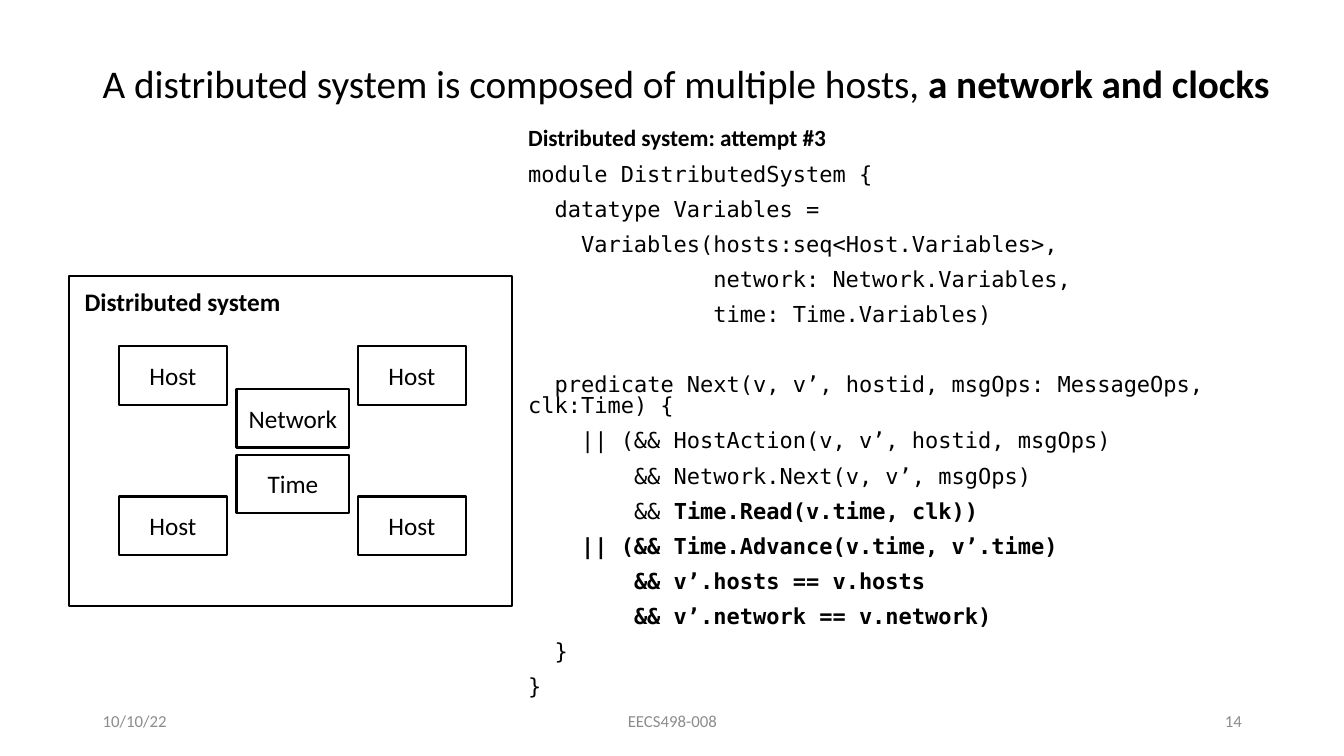
"""Build a slide on a distributed system made of hosts, a network and clocks."""
from dataclasses import dataclass

from pptx import Presentation
from pptx.dml.color import RGBColor
from pptx.enum import shapes, text
from pptx import util as u

WIDTH, HEIGHT = u.Inches(13.33), u.Inches(7.5)


@dataclass(frozen=True)
class Theme:
    """Colours, fonts and type sizes of the slide."""
    ink: RGBColor = RGBColor(0, 0, 0)
    muted: RGBColor = RGBColor(0x8C, 0x8C, 0x8C)
    paper: RGBColor = RGBColor(0xFF, 0xFF, 0xFF)
    body_font: str = "Calibri"
    code_font: str = "DejaVu Sans Mono"
    title_size: u.Pt = u.Pt(28)
    label_size: u.Pt = u.Pt(18)
    heading_size: u.Pt = u.Pt(16.6)
    code_size: u.Pt = u.Pt(15.7)
    footer_size: u.Pt = u.Pt(12)
    outline: u.Pt = u.Pt(1.5)
    code_column: u.Pt = u.Pt(9.45)


THEME = Theme()
TITLE_LINE = {"line_spacing": 0.9, "space_before": u.Pt(10)}
CODE_LINE = {"line_spacing": 0.8, "space_before": u.Pt(10)}
CODE_SECTION = {"line_spacing": 0.8, "space_before": u.Pt(35)}
CENTRED = {"alignment": text.PP_ALIGN.CENTER}

CODE = [
    (0, "module DistributedSystem {", ""),
    (2, "datatype Variables =", ""),
    (4, "Variables(hosts:seq<Host.Variables>,", ""),
    (14, "network: Network.Variables,", ""),
    (14, "time: Time.Variables)", ""),
    (2, "predicate Next(v, v’, hostid, msgOps: MessageOps, clk:Time) {", ""),
    (4, "|| (&& HostAction(v, v’, hostid, msgOps)", ""),
    (8, "&& Network.Next(v, v’, msgOps)", ""),
    (8, "&& ", "Time.Read(v.time, clk))"),
    (4, "", "|| (&& Time.Advance(v.time, v’.time)"),
    (8, "", "&& v’.hosts == v.hosts"),
    (8, "", "&& v’.network == v.network)"),
    (2, "}", ""),
    (0, "}", ""),
]


def apply(target, values):
    """Set each named format value on the target."""
    for name, value in values.items():
        setattr(target, name, value)


def place(left, top, width, height):
    """Turn percentages of the slide into lengths."""
    return [u.Emu(round(share * side / 100)) for share, side in
            zip((left, top, width, height), (WIDTH, HEIGHT) * 2)]


def write(paragraph, plain, bold, size, layout, font=THEME.body_font, color=THEME.ink):
    """Fill a paragraph with a plain part followed by a bold part."""
    apply(paragraph, layout)
    for words, heavy in ((plain, False), (bold, True)):
        if words:
            run = paragraph.add_run()
            run.text = words
            apply(run.font, {"size": size, "name": font, "bold": heavy})
            run.font.color.rgb = color


def add_text(container, area, wrap=True, anchor=text.MSO_ANCHOR.TOP):
    """Add a text box and return its text frame."""
    frame = container.add_textbox(*place(*area)).text_frame
    apply(frame, {"word_wrap": wrap, "vertical_anchor": anchor})
    return frame


def add_box(container, area, label=""):
    """Add an outlined box with an optional centred label."""
    shape = container.add_shape(shapes.MSO_SHAPE.RECTANGLE, *place(*area))
    shape.shadow.inherit = False
    shape.fill.solid()
    shape.fill.fore_color.rgb = THEME.paper
    shape.line.color.rgb = THEME.ink
    shape.line.width = THEME.outline
    if label:
        shape.text_frame.vertical_anchor = text.MSO_ANCHOR.MIDDLE
        write(shape.text_frame.paragraphs[0], label, "", THEME.label_size, CENTRED)


def add_title(slide):
    """Add the slide's headline."""
    frame = add_text(slide.shapes, (6.9, 7.87, 90, 8.53))
    write(frame.paragraphs[0], "A distributed system is composed of multiple hosts, ",
          "a network and clocks", THEME.title_size, TITLE_LINE)


def add_footer(slide):
    """Add date, course and slide number along the bottom."""
    align = text.PP_ALIGN
    for left, width, words, alignment in ((6.9, 22.5, "10/10/22", align.LEFT),
                                          (33.15, 33.75, "EECS498-008", align.CENTER),
                                          (70.65, 22.5, "14", align.RIGHT)):
        frame = add_text(slide.shapes, (left, 92.67, width, 5.33),
                         anchor=text.MSO_ANCHOR.MIDDLE)
        write(frame.paragraphs[0], words, "", THEME.footer_size,
              {"alignment": alignment}, color=THEME.muted)


def add_code(slide):
    """Add the heading and the indented code listing."""
    frame = add_text(slide.shapes, (38.56, 16.4, 61.44, 78.13))
    write(frame.paragraphs[0], "", "Distributed system: attempt #3",
          THEME.heading_size, CODE_LINE)
    for columns, plain, bold in CODE:
        paragraph = frame.add_paragraph()
        layout = CODE_SECTION if plain.startswith("predicate") else CODE_LINE
        write(paragraph, plain, bold, THEME.code_size, layout, THEME.code_font)
        properties = paragraph._p.get_or_add_pPr()
        properties.set("marL", "0")
        properties.set("indent", str(columns * THEME.code_column))


def add_system(slide):
    """Add the system diagram with its hosts, network and time."""
    system = slide.shapes.add_group_shape().shapes
    add_box(system, (5.1, 36.53, 33, 43.6))
    frame = add_text(system, (5.55, 37.2, 16.2, 5.33), wrap=False)
    write(frame.paragraphs[0], "", "Distributed system", THEME.label_size, {})
    for top in (45.8, 65.67):
        for left in (8.85, 26.63):
            add_box(system, (left, top, 8.03, 7.73), "Host")
    for top, label in ((51.47, "Network"), (60.13, "Time")):
        add_box(slide.shapes, (17.6, top, 8.4, 7.73), label)


def main():
    """Build and save the presentation."""
    presentation = Presentation()
    apply(presentation, {"slide_width": WIDTH, "slide_height": HEIGHT})
    slide = presentation.slides.add_slide(presentation.slide_layouts[6])
    for add_part in (add_title, add_footer, add_code, add_system):
        add_part(slide)
    presentation.save("out.pptx")


if __name__ == "__main__":
    main()
